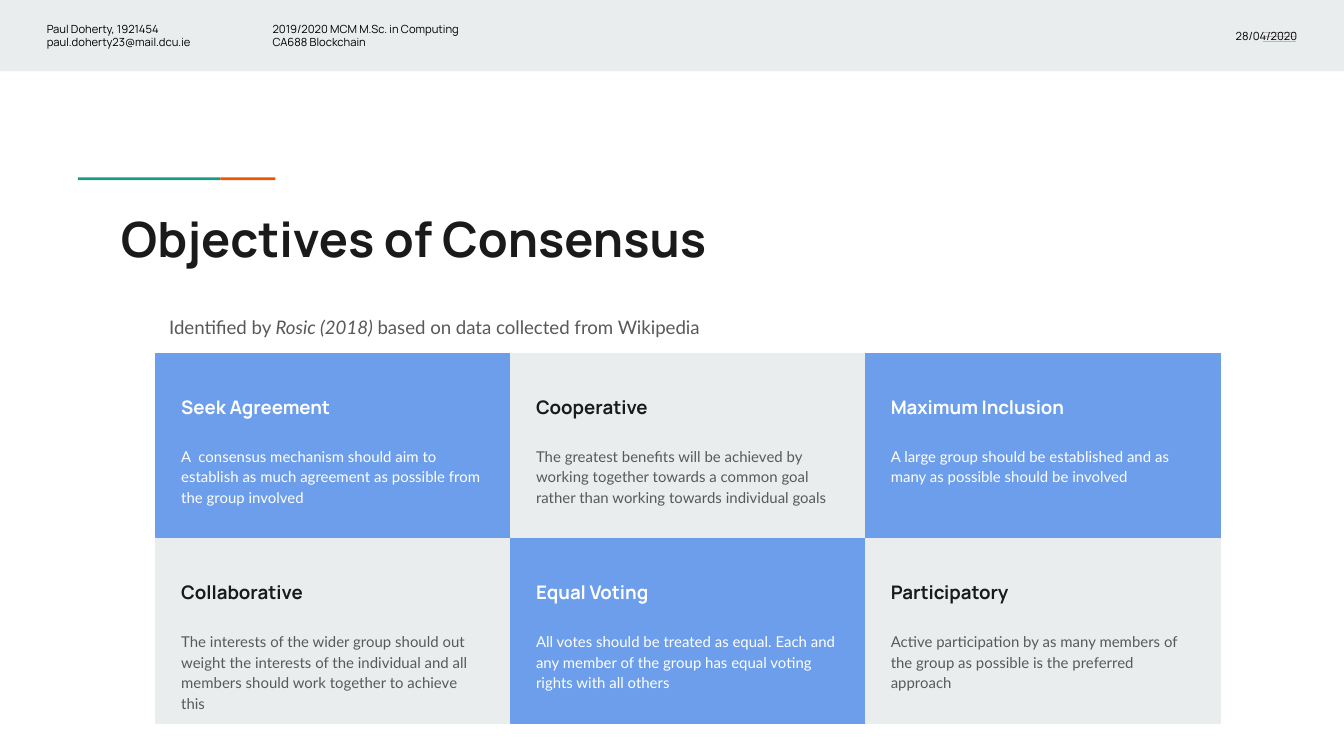
from lxml import etree
from pptx import Presentation
from pptx.dml.color import RGBColor
from pptx.enum.shapes import MSO_CONNECTOR, MSO_SHAPE
from pptx.enum.text import MSO_ANCHOR, MSO_AUTO_SIZE, PP_ALIGN
from pptx.oxml.ns import qn
from pptx.util import Inches, Pt

RECTANGLE = MSO_SHAPE.RECTANGLE
STRAIGHT = MSO_CONNECTOR.STRAIGHT
TOP, MIDDLE, BOTTOM = MSO_ANCHOR.TOP, MSO_ANCHOR.MIDDLE, MSO_ANCHOR.BOTTOM
LEFT, RIGHT = PP_ALIGN.LEFT, PP_ALIGN.RIGHT

BLACK = RGBColor(0x00, 0x00, 0x00)
WHITE = RGBColor(0xFF, 0xFF, 0xFF)
INK = RGBColor(0x1A, 0x1A, 0x1A)
GREY = RGBColor(0x59, 0x59, 0x59)
RULE = RGBColor(0xB7, 0xB7, 0xB7)
PALE = RGBColor(0xE9, 0xED, 0xEE)
BLUE = RGBColor(0x6D, 0x9E, 0xEB)
TEAL = RGBColor(0x1A, 0x99, 0x88)
ORANGE = RGBColor(0xEB, 0x56, 0x00)

GRID_LEFT, GRID_TOP = 1.16, 2.63
COLUMN, ROW = 2.64, 1.38
CARD_HEIGHT = 1.37
INSET = 0.09

deck = Presentation()
deck.slide_width = Inches(10)
deck.slide_height = deck.slide_width * 9 // 16
page = deck.slides.add_slide(deck.slide_layouts[5])


def add_block(left, top, width, height, color, outlined=False):
    block = page.shapes.add_shape(
        RECTANGLE, Inches(left), Inches(top), Inches(width), Inches(height))
    block.shadow.inherit = False
    block.fill.solid()
    block.fill.fore_color.rgb = color
    if outlined:
        block.line.color.rgb = color
        block.line.width = Pt(0.75)
    else:
        block.line.fill.background()


def write(area, text, size, font, color, bold=False, anchor=TOP, align=LEFT, box=None):
    """Place text in a new text box, or in the given one, and format it."""
    left, top, width, height = (Inches(length) for length in area)
    box = box or page.shapes.add_textbox(left, top, width, height)
    box.left, box.top, box.width, box.height = left, top, width, height
    frame = box.text_frame
    frame.text = text
    frame.word_wrap = True
    frame.auto_size = MSO_AUTO_SIZE.NONE
    frame.vertical_anchor = anchor
    frame.margin_left = frame.margin_right = Inches(0.1)
    frame.margin_top = frame.margin_bottom = Inches(0.1)
    for para in frame.paragraphs:
        para.alignment = align
        for span in para.runs:
            span.font.size = Pt(size)
            span.font.name = font
            span.font.bold = bold
            span.font.color.rgb = color
    return frame


# Header band
add_block(0, 0, 10, 0.53, PALE)
for height in (0.24, 0.27, 0.31):
    rule = page.shapes.add_connector(
        STRAIGHT, Inches(9.4), Inches(height), Inches(9.64), Inches(height))
    rule.line.color.rgb = RULE
    rule.line.width = Pt(0.75)
    etree.SubElement(rule._element.spPr, qn("a:effectLst"))

header = [
    (0.25, 1.57, "Paul Doherty, 1921454\npaul.doherty23@mail.dcu.ie", LEFT),
    (1.93, 2.39, "2019/2020 MCM M.Sc. in Computing\nCA688 Blockchain", LEFT),
    (8.98, 0.77, "28/04/2020", RIGHT),
]
for left, width, text, align in header:
    write((left, 0.09, width, 0.35), text, 6, "Manrope", BLACK, anchor=MIDDLE, align=align)

# Title with its two-colour accent
add_block(0.58, 1.32, 1.06, 0.02, TEAL)
add_block(1.64, 1.32, 0.41, 0.02, ORANGE)
write((0.8, 1.5, 8.41, 0.59), "Objectives of Consensus", 26, "Manrope", INK,
      bold=True, anchor=BOTTOM, box=page.shapes.title)

# Source of the objectives
source = write((GRID_LEFT, 2.17, 6.95, 0.37), "Identified by ", 10, "Lato", GREY).paragraphs[0]
source.line_spacing = 1.5
for text, italic in (("Rosic (2018)", True), (" based on data collected from Wikipedia", False)):
    span = source.add_run()
    span.text = text
    span.font.size = Pt(10)
    span.font.name = "Lato"
    span.font.italic = italic
    span.font.color.rgb = GREY

# Objectives, three to a row, in alternating colours
objectives = [
    ("Seek Agreement", "A  consensus mechanism should aim to establish as much "
     "agreement as possible from the group involved"),
    ("Cooperative", "The greatest benefits will be achieved by working together "
     "towards a common goal rather than working towards individual goals"),
    ("Maximum Inclusion", "A large group should be established and as many as "
     "possible should be involved"),
    ("Collaborative", "The interests of the wider group should out weight the "
     "interests of the individual and all members should work together to achieve this"),
    ("Equal Voting", "All votes should be treated as equal. Each and any member of "
     "the group has equal voting rights with all others"),
    ("Participatory", "Active participation by as many members of the group as "
     "possible is the preferred approach"),
]
for index, (heading, detail) in enumerate(objectives):
    row, column = divmod(index, 3)
    left, top = GRID_LEFT + column * COLUMN, GRID_TOP + row * ROW
    fill, heading_color, detail_color = (PALE, INK, GREY) if index % 2 else (BLUE, WHITE, WHITE)
    add_block(left, top, COLUMN, CARD_HEIGHT, fill, outlined=True)
    text_left, text_width = left + INSET, COLUMN - 2 * INSET
    write((text_left, top + 0.11, text_width, 0.47), heading, 10, "Manrope",
          heading_color, bold=True, anchor=BOTTOM)
    body = write((text_left, top + 0.58, text_width, 0.71), detail, 8, "Lato", detail_color)
    body.paragraphs[0].line_spacing = 1.15
    body.paragraphs[0].space_after = Pt(16)

deck.save("out.pptx")
